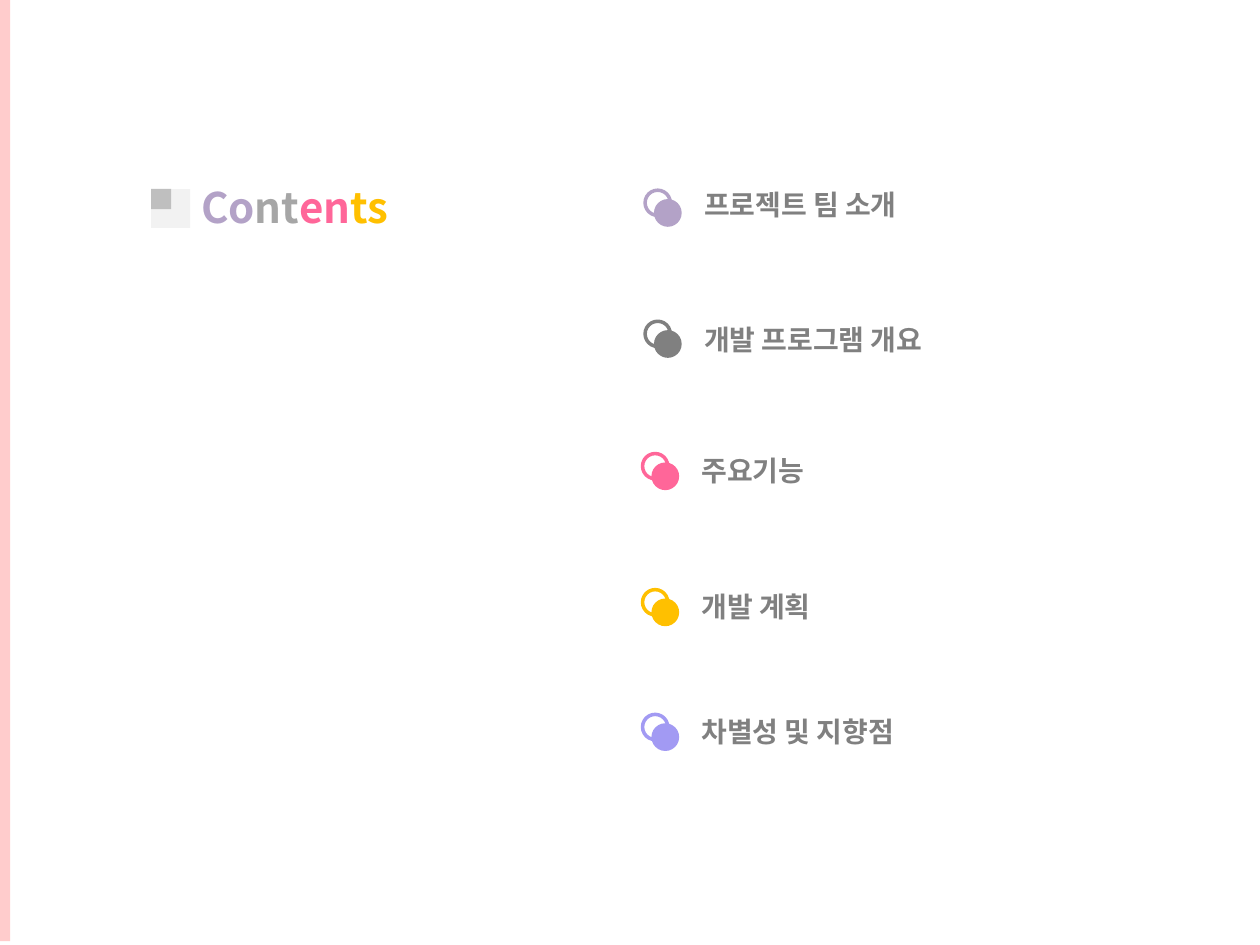
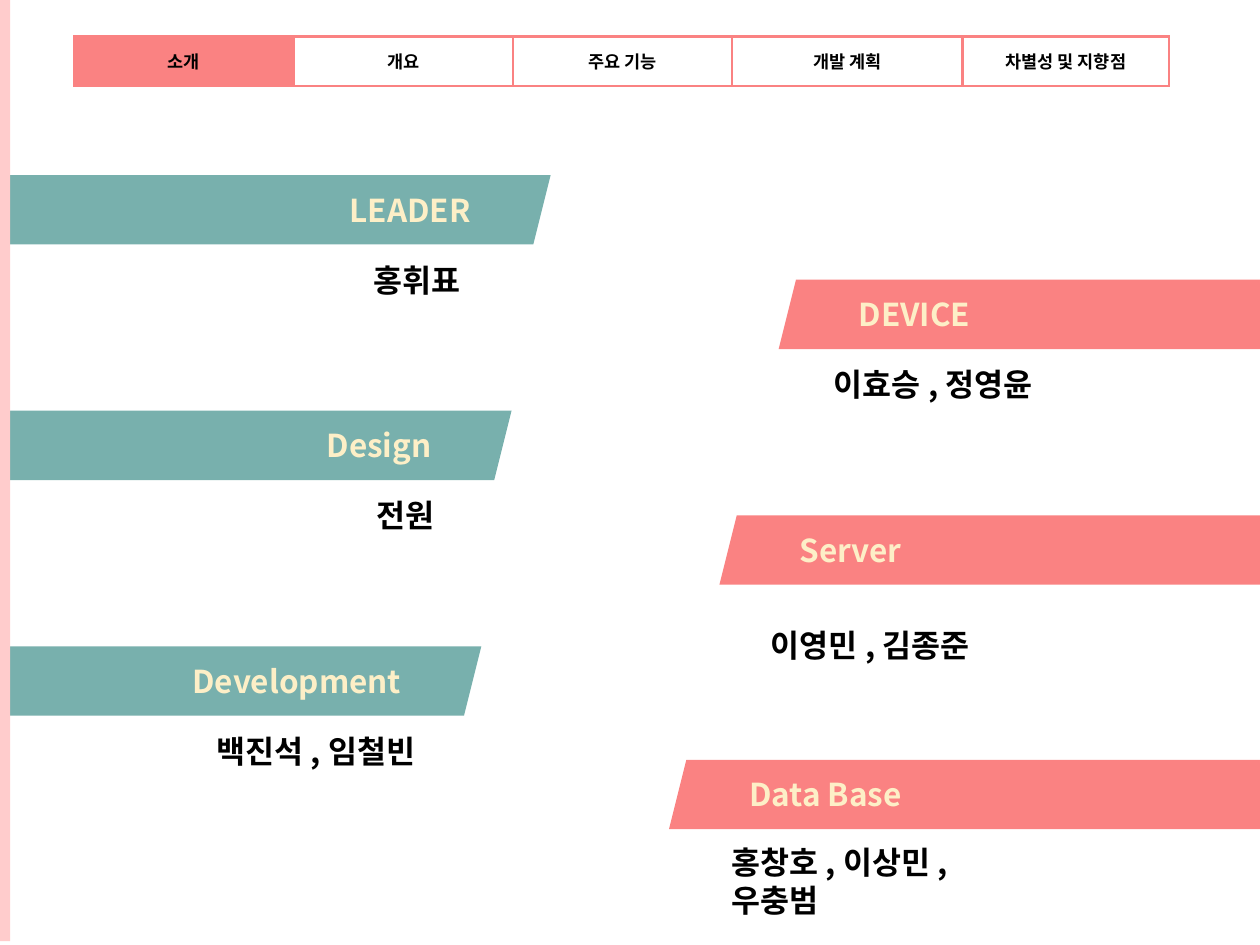
from dataclasses import dataclass
from typing import Any, Optional

import pptx
import pptx.dml.color
import pptx.enum.shapes
import pptx.enum.text
import pptx.oxml
import pptx.oxml.ns
import pptx.util

Inches = pptx.util.Inches
Pt = pptx.util.Pt
Shape = pptx.enum.shapes.MSO_SHAPE
Align = pptx.enum.text.PP_ALIGN
Anchor = pptx.enum.text.MSO_ANCHOR
AutoSize = pptx.enum.text.MSO_AUTO_SIZE


# Theme: colours, font and type sizes
@dataclass(frozen=True)
class Theme:
    font: str = "Noto Sans CJK KR"
    edge: str = "FFCCCC"
    lilac: str = "B3A2C7"
    silver: str = "A6A6A6"
    grey: str = "808080"
    pink: str = "FF6699"
    gold: str = "FFC000"
    violet: str = "A29AF3"
    pale: str = "F2F2F2"
    mid: str = "BFBFBF"
    coral: str = "FA8282"
    teal: str = "78B0AD"
    cream: str = "FDEFC7"
    black: str = "000000"
    title_size: int = 24
    body_size: int = 18
    item_size: int = 16
    tab_size: int = 10
    ring_width: float = 2
    tab_border: float = 1.5


THEME = Theme()


@dataclass(frozen=True)
class ContentsItem:
    label: str
    colour: str
    ring_left: float
    ring_top: float
    label_top: float


@dataclass(frozen=True)
class Role:
    name: str
    left: float
    top: float
    on_left: bool
    members: str
    members_left: float
    members_top: float
    members_width: float
    wrap: bool = False


TITLE_SPANS = [("Co", THEME.lilac), ("nt", THEME.silver), ("en", THEME.pink), ("ts", THEME.gold)]

CONTENTS = [
    ContentsItem("프로젝트 팀 소개", THEME.lilac, 5.12, 1.51, 1.44),
    ContentsItem("개발 프로그램 개요", THEME.grey, 5.12, 2.55, 2.51),
    ContentsItem("주요기능", THEME.pink, 5.1, 3.6, 3.55),
    ContentsItem("개발 계획", THEME.gold, 5.1, 4.68, 4.63),
    ContentsItem("차별성 및 지향점", THEME.violet, 5.1, 5.67, 5.62),
]

TABS = [("소개", 1.74), ("개요", 1.74), ("주요 기능", 1.74), ("개발 계획", 1.83), ("차별성 및 지향점", 1.64)]

ROLES = [
    Role("LEADER", -1.38, 1.39, True, "홍휘표", 2.87, 2.02, 0.96),
    Role("DEVICE", 6.18, 2.22, False, "이효승 , 정영윤", 6.52, 2.85, 1.78),
    Role("Design", -1.69, 3.26, True, "전원", 2.89, 3.89, 0.71),
    Role("Server", 5.71, 4.09, False, "이영민 , 김종준", 6.02, 4.92, 1.85),
    Role("Development", -1.93, 5.13, True, "백진석 , 임철빈", 1.62, 5.76, 1.78),
    Role("Data Base", 5.31, 6.03, False, "홍창호 , 이상민 , 우충범", 5.71, 6.64, 2.61, wrap=True),
]


# Shared drawing functions
def rgb(colour: str) -> pptx.dml.color.RGBColor:
    return pptx.dml.color.RGBColor.from_string(colour)


def add_span(para: Any, text: str, size: float, colour: str) -> None:
    span = para.add_run()
    span.text = text
    span.font.size = Pt(size)
    span.font.bold = True
    span.font.name = THEME.font
    span.font.color.rgb = rgb(colour)
    east_asian = pptx.oxml.parse_xml(
        f'<a:ea {pptx.oxml.ns.nsdecls("a")} typeface="{THEME.font}"/>')
    span.font._element.append(east_asian)


def add_figure(page: Any, kind: Any, left: float, top: float, width: float, height: float,
               fill: Optional[str] = None, line: Optional[str] = None) -> Any:
    figure = page.shapes.add_shape(kind, Inches(left), Inches(top), Inches(width), Inches(height))
    figure.shadow.inherit = False
    if fill:
        figure.fill.solid()
        figure.fill.fore_color.rgb = rgb(fill)
    else:
        figure.fill.background()
    if line:
        figure.line.color.rgb = rgb(line)
        figure.line.width = Pt(THEME.ring_width)
    else:
        figure.line.fill.background()
    return figure


def add_label(page: Any, text: str, left: float, top: float, width: float, height: float,
              size: float, colour: str, wrap: bool = True) -> None:
    box = page.shapes.add_textbox(Inches(left), Inches(top), Inches(width), Inches(height))
    box.text_frame.word_wrap = wrap
    box.text_frame.auto_size = AutoSize.SHAPE_TO_FIT_TEXT
    add_span(box.text_frame.paragraphs[0], text, size, colour)


def add_edge_band(page: Any) -> None:
    add_figure(page, Shape.RECTANGLE, -0.08, -0.03, 0.16, 7.5, THEME.edge)


# Contents slide
def add_contents_title(page: Any) -> None:
    title = page.shapes.title
    title.left, title.top = Inches(-2.66), Inches(1.39)
    title.width, title.height = Inches(10), Inches(0.5)
    title.text_frame.vertical_anchor = Anchor.TOP
    para = title.text_frame.paragraphs[0]
    para.alignment = Align.CENTER
    for text, colour in TITLE_SPANS:
        add_span(para, text, THEME.title_size, colour)
    for side, colour in ((0.31, THEME.pale), (0.16, THEME.mid)):
        add_figure(page, Shape.RECTANGLE, 1.2, 1.5, side, side, colour)


def add_contents_item(page: Any, item: ContentsItem) -> None:
    left, top = item.ring_left, item.ring_top
    add_figure(page, Shape.OVAL, left + 0.07, top + 0.07, 0.22, 0.22, fill=item.colour)
    add_figure(page, Shape.OVAL, left, top, 0.2, 0.2, line=item.colour)
    add_label(page, item.label, left + 0.37, item.label_top, 2.2, 0.37,
              THEME.item_size, THEME.grey)


def build_contents(deck: Any) -> None:
    page = deck.slides.add_slide(deck.slide_layouts[5])
    add_contents_title(page)
    for item in CONTENTS:
        add_contents_item(page, item)
    add_edge_band(page)


# Team slide
def set_cell_borders(cell: Any, colour: str, width: float) -> None:
    properties = cell._tc.get_or_add_tcPr()
    for position, side in enumerate(("lnL", "lnR", "lnT", "lnB")):
        border = pptx.oxml.parse_xml(
            f'<a:{side} {pptx.oxml.ns.nsdecls("a")} w="{Pt(width)}">'
            f'<a:solidFill><a:srgbClr val="{colour}"/></a:solidFill></a:{side}>')
        properties.insert(position, border)


def add_tabs(page: Any, active: int) -> None:
    total = sum(width for _, width in TABS)
    frame = page.shapes.add_table(1, len(TABS), Inches(0.59), Inches(0.29),
                                  Inches(total), Inches(0.39))
    table = frame.table
    table.first_row = table.horz_banding = False
    for index, (text, width) in enumerate(TABS):
        table.columns[index].width = Inches(width)
        cell = table.cell(0, index)
        cell.vertical_anchor = Anchor.MIDDLE
        if index == active:
            cell.fill.solid()
            cell.fill.fore_color.rgb = rgb(THEME.coral)
        else:
            cell.fill.background()
        set_cell_borders(cell, THEME.coral, THEME.tab_border)
        para = cell.text_frame.paragraphs[0]
        para.alignment = Align.CENTER
        add_span(para, text, THEME.tab_size, THEME.black)


def add_role(page: Any, role: Role) -> None:
    banner = add_figure(page, Shape.PARALLELOGRAM, role.left, role.top, 5.75, 0.55,
                        THEME.teal if role.on_left else THEME.coral)
    banner.text_frame.vertical_anchor = Anchor.MIDDLE
    para = banner.text_frame.paragraphs[0]
    para.alignment = Align.RIGHT if role.on_left else Align.LEFT
    add_span(para, role.name, THEME.body_size, THEME.cream)
    add_label(page, role.members, role.members_left, role.members_top, role.members_width, 0.4,
              THEME.body_size, THEME.black, role.wrap)


def build_team(deck: Any) -> None:
    page = deck.slides.add_slide(deck.slide_layouts[6])
    add_tabs(page, active=0)
    for role in ROLES:
        add_role(page, role)
    add_edge_band(page)


def main() -> None:
    deck = pptx.Presentation()
    deck.slide_width, deck.slide_height = Inches(10), Inches(7.5)
    build_contents(deck)
    build_team(deck)
    deck.save("out.pptx")


if __name__ == "__main__":
    main()
